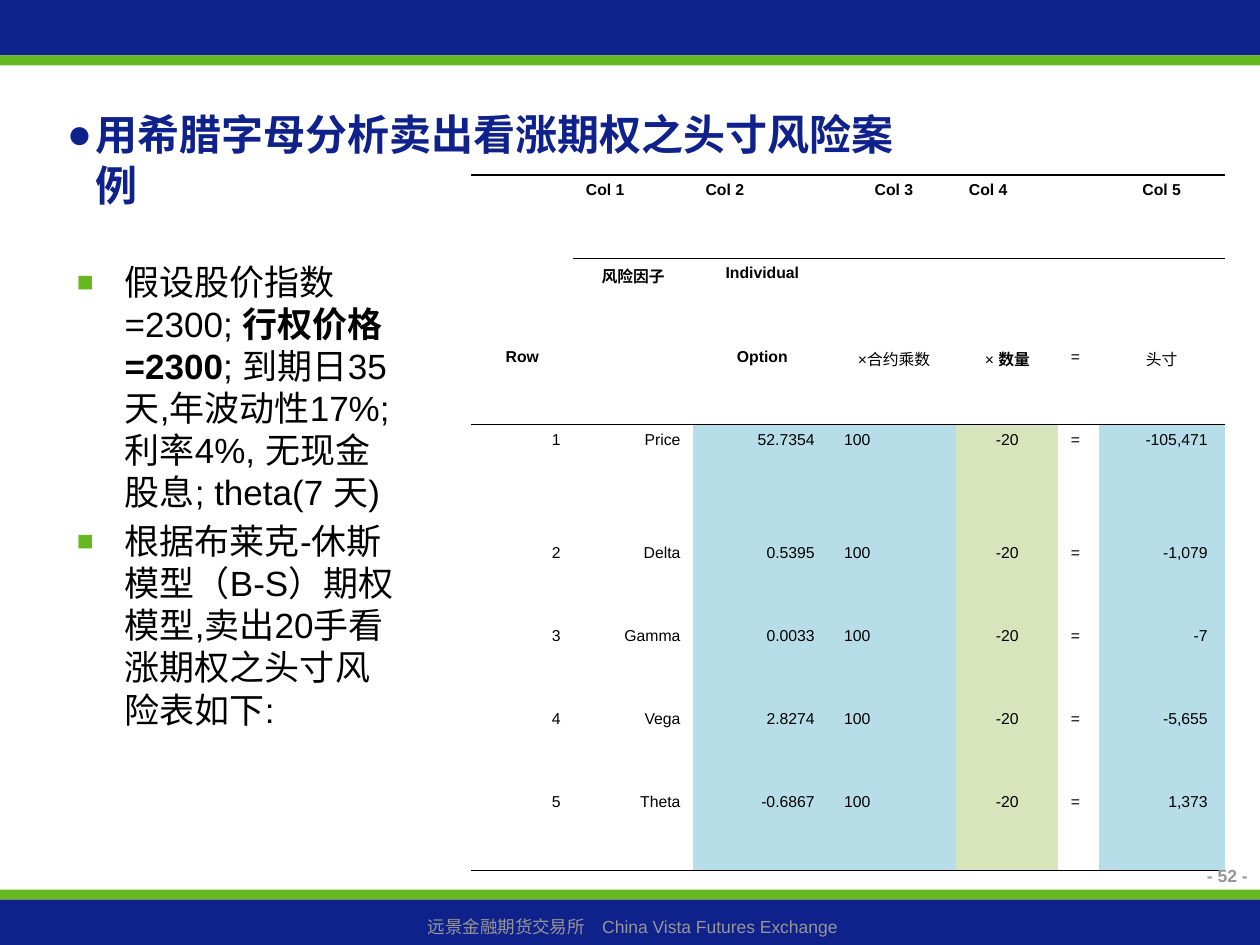
from lxml.etree import SubElement
from pptx import Presentation
from pptx.dml.color import RGBColor
from pptx.enum.shapes import MSO_SHAPE
from pptx.enum.text import MSO_ANCHOR, MSO_AUTO_SIZE, PP_ALIGN
from pptx.oxml.ns import qn
from pptx.util import Inches, Pt

COLORS = {"navy": "0F218B", "green": "66B821", "gray": "969696", "black": "000000",
          "white": "FFFFFF", "blue": "B7DEE8", "olive": "D8E4BC"}
CJK_FONT = "Noto Sans CJK SC"
LEFT, CENTER, RIGHT = PP_ALIGN.LEFT, PP_ALIGN.CENTER, PP_ALIGN.RIGHT

# Bands: top, height, colour
BANDS = [(0, 0.44, "navy"), (7.06, 0.08, "green"), (0.44, 0.08, "green"), (7.14, 0.36, "navy")]

TITLE = "用希腊字母分析卖出看涨期权之头寸风险案例"
FOOTER = "远景金融期货交易所　China Vista Futures Exchange "
PAGE_NUMBER = "- 52 -"

# Each paragraph is a list of (text, bold) runs
BODY = [
    [("假设股价指数=2300; ", False), ("行权价格=2300", True),
     ("; 到期日35天,年波动性17%; 利率4%, 无现金股息; theta(7 天)", False)],
    [("根据布莱克-休斯模型（B-S）期权模型,卖出20手看涨期权之头寸风险表如下:", False)],
]

# Risk table
COLUMN_WIDTHS = [0.81, 0.95, 1.1, 0.99, 0.81, 0.32, 1]
ROW_HEIGHTS = [0.66] * 3 + [0.9] + [0.66] * 4
COLUMN_FILLS = ["white", "white", "blue", "blue", "olive", "white", "blue"]
COLUMN_ALIGNMENTS = [RIGHT, RIGHT, RIGHT, LEFT, CENTER, LEFT, RIGHT]
HEADER_ALIGNMENTS = [LEFT, LEFT, LEFT, CENTER, LEFT, LEFT, CENTER]
# Header cells: (text, bold, East Asian font) runs
HEADERS = [
    [[]] + [[(text, True, None)] if text else []
            for text in ("Col 1", "Col 2", "Col 3", "Col 4", "", "Col 5")],
    [[], [("风险因子", True, CJK_FONT)], [("Individual", True, None)], [], [], [], []],
    [[("Row", True, None)], [], [("Option", True, None)],
     [("×", False, None), ("合约乘数", False, CJK_FONT)],
     [("× ", False, None), ("数量", True, CJK_FONT)],
     [("=", False, None)], [("头寸", False, CJK_FONT)]],
]
RISKS = [("Price", "52.7354 ", "-105,471 "), ("Delta", "0.5395 ", "-1,079 "),
         ("Gamma", "0.0033 ", "-7 "), ("Vega", "2.8274 ", "-5,655 "),
         ("Theta", "-0.6867 ", "1,373 ")]


def color(name):
    return RGBColor.from_string(COLORS[name])


def place(shape, left, top, width, height):
    values = {"left": left, "top": top, "width": width, "height": height}
    for name, value in values.items():
        setattr(shape, name, Inches(value))


def add_run(paragraph, text, size, color_name="black", bold=False, east_asian=None):
    run = paragraph.add_run()
    run.text = text
    for name, value in {"name": "Arial", "size": Pt(size), "bold": bold}.items():
        setattr(run.font, name, value)
    run.font.color.rgb = color(color_name)
    if east_asian:
        SubElement(run.font._element, qn("a:ea"), typeface=east_asian)


def set_indent(paragraph, hanging):
    properties = paragraph._p.get_or_add_pPr()
    properties.set("marL", str(Inches(hanging)))
    properties.set("indent", str(-Inches(hanging)))
    return properties


def set_bullet(paragraph, character, color_name, hanging, percent=100):
    properties = set_indent(paragraph, hanging)
    bullet_color = SubElement(properties, qn("a:buClr"))
    SubElement(bullet_color, qn("a:srgbClr"), val=COLORS[color_name])
    SubElement(properties, qn("a:buSzPct"), val=str(percent * 1000))
    SubElement(properties, qn("a:buFont"), typeface="Arial")
    SubElement(properties, qn("a:buChar"), char=character)


def add_band(slide, top, height, color_name):
    band = slide.shapes.add_shape(MSO_SHAPE.RECTANGLE, 0, Inches(top), Inches(10), Inches(height))
    band.shadow.inherit = False
    band.fill.solid()
    band.fill.fore_color.rgb = color(color_name)
    band.line.fill.background()


def add_label(slide, text, box, alignment, bold=False):
    label = slide.shapes.add_textbox(*map(Inches, box))
    label.text_frame.word_wrap = True
    paragraph = label.text_frame.paragraphs[0]
    paragraph.alignment = alignment
    add_run(paragraph, text, 10, "gray", bold)


def prepare_frame(shape, anchor):
    frame = shape.text_frame
    values = {"word_wrap": True, "auto_size": MSO_AUTO_SIZE.NONE, "vertical_anchor": anchor}
    for name, value in values.items():
        setattr(frame, name, value)
    return frame


def fill_title(title):
    place(title, 0.43, 0.91, 6.93, 0.71)
    paragraph = prepare_frame(title, MSO_ANCHOR.MIDDLE).paragraphs[0]
    paragraph.alignment = LEFT
    set_bullet(paragraph, "●", "navy", 0.23)
    add_run(paragraph, TITLE, 24, "navy", True)


def fill_body(body):
    place(body, 0.51, 2.02, 2.76, 4.25)
    frame = prepare_frame(body, MSO_ANCHOR.TOP)
    for index, runs in enumerate(BODY):
        paragraph = frame.add_paragraph() if index else frame.paragraphs[0]
        paragraph.space_before = Pt(4)
        set_bullet(paragraph, "■", "green", 0.38, 80)
        for text, bold in runs:
            add_run(paragraph, text, 20, bold=bold)


def set_cell(cell, runs, alignment, fill, edges):
    properties = cell._tc.get_or_add_tcPr()
    for edge in ("lnL", "lnR", "lnT", "lnB"):
        line = SubElement(properties, qn("a:" + edge), w=str(Pt(1)))
        if edge in edges:
            solid = SubElement(line, qn("a:solidFill"))
            SubElement(solid, qn("a:srgbClr"), val=COLORS["black"])
        else:
            SubElement(line, qn("a:noFill"))
    cell.fill.solid()
    cell.fill.fore_color.rgb = color(fill)
    paragraph = cell.text_frame.paragraphs[0]
    paragraph.alignment = alignment
    set_indent(paragraph, 0.38)
    for text, bold, east_asian in runs:
        add_run(paragraph, text, 9, bold=bold, east_asian=east_asian)


def cell_edges(row, column):
    edges = set()
    if row in (0, 3) or (row == 1 and column):
        edges.add("lnT")
    if row in (2, 7) or (row == 0 and column):
        edges.add("lnB")
    return edges


def add_risk_table(slide):
    frame = slide.shapes.add_table(len(ROW_HEIGHTS), len(COLUMN_WIDTHS), Inches(3.74),
                                   Inches(1.39), Inches(5.98), Inches(5.52))
    table = frame.table
    table.first_row = table.horz_banding = False
    for column, width in zip(table.columns, COLUMN_WIDTHS):
        column.width = Inches(width)
    for row, height in zip(table.rows, ROW_HEIGHTS):
        row.height = Inches(height)

    data = [[[(text, False, None)] for text in (str(number), risk, value, "100", "-20", "=", total)]
            for number, (risk, value, total) in enumerate(RISKS, 1)]
    for row, cells in enumerate(HEADERS + data):
        is_header = row < len(HEADERS)
        for column, runs in enumerate(cells):
            if row == 0:
                alignment = HEADER_ALIGNMENTS[column]
            elif is_header:
                alignment = LEFT if column == 5 else CENTER
            else:
                alignment = COLUMN_ALIGNMENTS[column]
            fill = "white" if is_header else COLUMN_FILLS[column]
            set_cell(table.cell(row, column), runs, alignment, fill, cell_edges(row, column))
    table.cell(0, 0).merge(table.cell(1, 0))


def main():
    presentation = Presentation()
    presentation.slide_width, presentation.slide_height = Inches(10), Inches(7.5)
    slide = presentation.slides.add_slide(presentation.slide_layouts[1])

    # Bands and footer
    for band in BANDS:
        add_band(slide, *band)
    add_label(slide, FOOTER, (0.08, 7.22, 9.92, 0.27), CENTER)

    # Title, list and table
    fill_title(slide.shapes.title)
    fill_body(slide.placeholders[1])
    add_risk_table(slide)

    add_label(slide, PAGE_NUMBER, (8.03, 6.82, 1.97, 0.36), RIGHT, True)
    presentation.save("out.pptx")


if __name__ == "__main__":
    main()
